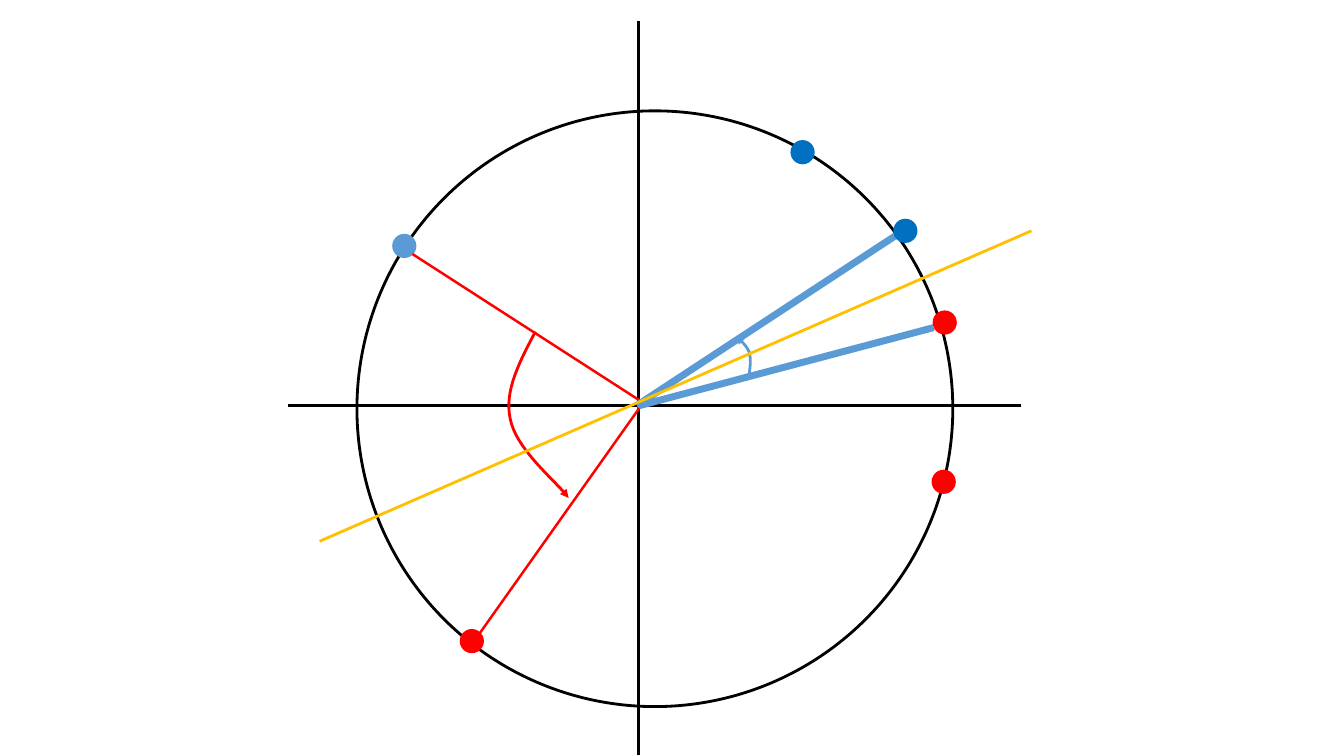
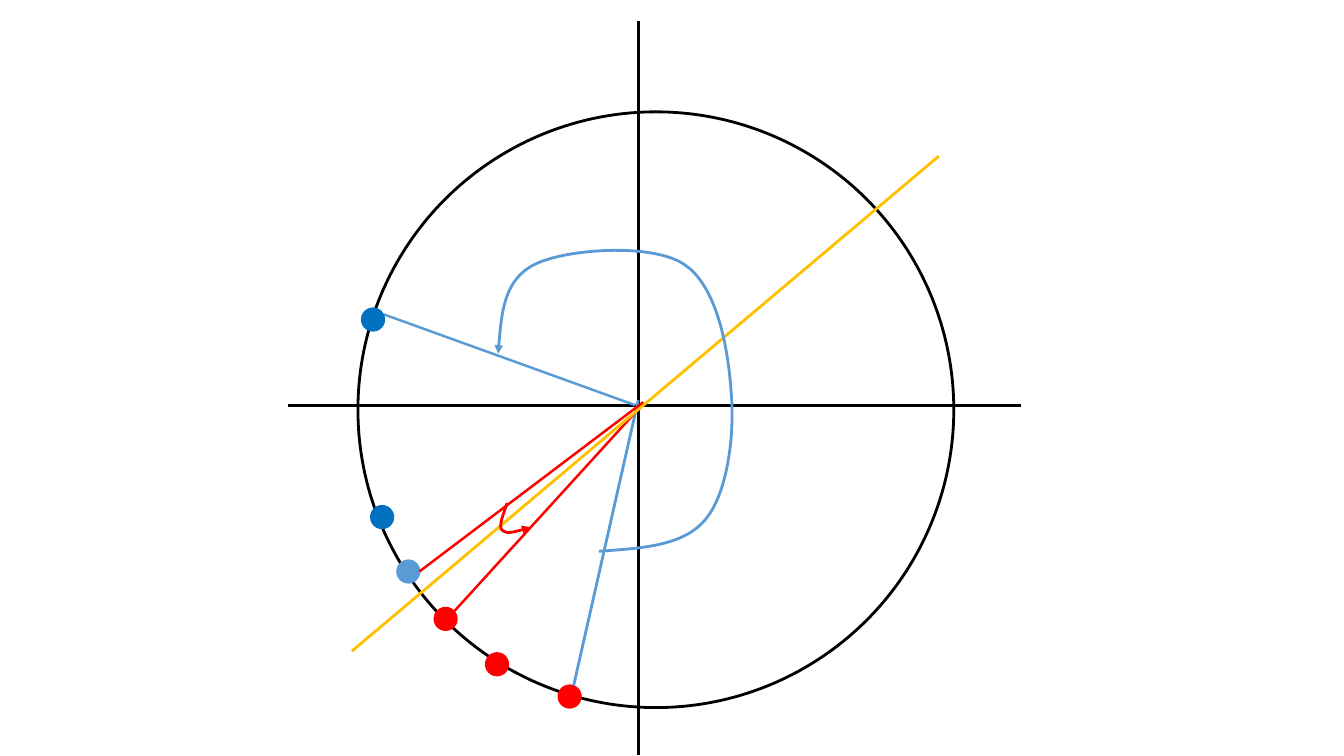
from lxml.etree import SubElement
from pptx import Presentation
from pptx.dml.color import RGBColor as RGB
from pptx.enum.shapes import MSO_CONNECTOR as LINK, MSO_SHAPE as SHAPE
from pptx.oxml.ns import qn
from pptx.util import Inches, Pt

COLORS = {
    "black": "000000",
    "red": "FF0000",
    "sky": "5B9BD5",
    "blue": "0070C0",
    "gold": "FFC000",
}
DOT = 0.24
RING = 5.91


def stroke(shape, color, width):
    """Give a shape or line its outline."""
    shape.line.color.rgb = RGB.from_string(COLORS[color])
    shape.line.width = Pt(width)


def add_line(shapes, start, end, color, width=1.75):
    """Draw a straight line without shadow."""
    ends = [Inches(v) for v in (*start, *end)]
    line = shapes.add_connector(LINK.STRAIGHT, *ends)
    stroke(line, color, width)
    SubElement(line.element.spPr, qn("a:effectLst"))


def add_oval(shapes, left, top, size):
    """Add a plain round shape and return it."""
    oval = shapes.add_shape(
        SHAPE.OVAL, Inches(left), Inches(top), Inches(size), Inches(size))
    oval.shadow.inherit = False
    return oval


def add_ring(shapes, left, top):
    """Draw the open circle."""
    ring = add_oval(shapes, left, top, RING)
    ring.fill.background()
    stroke(ring, "black", 2)


def add_dots(shapes, dots):
    """Draw points given as left, top and color."""
    for left, top, color in dots:
        dot = add_oval(shapes, left, top, DOT)
        dot.fill.solid()
        dot.fill.fore_color.rgb = RGB.from_string(COLORS[color])
        dot.line.fill.background()


def add_axes(shapes):
    """Draw the two axes as one group."""
    axes = shapes.add_group_shape().shapes
    add_line(axes, (6.33, 7.49), (6.33, 0.21), "black", 2)
    add_line(axes, (10.13, 4.02), (2.86, 4.02), "black", 2)


def add_curve(shapes, points, color):
    """Draw a Bezier arrow: a start, then three points per segment."""
    start, *rest = [(Inches(x), Inches(y)) for x, y in points]
    pen = shapes.build_freeform(*start)
    pen.add_line_segments(rest, close=False)
    curve = pen.convert_to_shape()
    steps = list(curve.element.iter(qn("a:lnTo")))
    for i in range(0, len(steps), 3):
        outline = steps[i].getparent()
        cubic = SubElement(outline, qn("a:cubicBezTo"))
        for step in steps[i:i + 3]:
            cubic.append(step[0])
            outline.remove(step)
    curve.fill.background()
    curve.shadow.inherit = False
    stroke(curve, color, 2)
    SubElement(curve.element.spPr.find(qn("a:ln")), qn("a:tailEnd"),
               type="triangle")


def add_base(deck, left, top, dots):
    """Start a slide with ring, points and axes; return its shapes."""
    shapes = deck.slides.add_slide(deck.slide_layouts[6]).shapes
    add_ring(shapes, left, top)
    add_dots(shapes, dots)
    add_axes(shapes)
    return shapes


def add_first(deck):
    """Build the slide with the mirror line at a low slope."""
    shapes = add_base(deck, 3.54, 1.1, [
        (3.89, 2.32, "sky"), (9.24, 4.66, "red"),
        (9.25, 3.08, "red"), (7.84, 1.39, "blue")])
    add_line(shapes, (9.26, 3.25), (6.32, 4.03), "sky", 5)
    add_line(shapes, (6.34, 3.97), (4.09, 2.52), "red")
    add_line(shapes, (8.88, 2.34), (6.32, 4.02), "sky", 5)
    add_line(shapes, (6.34, 4.05), (4.76, 6.28), "red")
    add_dots(shapes, [(8.86, 2.17, "blue"), (4.56, 6.24, "red")])
    add_curve(shapes, [
        (7.43, 3.72), (7.44, 3.64), (7.45, 3.56), (7.43, 3.49),
        (7.4, 3.43), (7.35, 3.38), (7.3, 3.33)], "sky")
    add_curve(shapes, [
        (5.31, 3.29), (5.16, 3.58), (5, 3.87), (5.06, 4.15),
        (5.11, 4.43), (5.55, 4.81), (5.64, 4.94)], "red")
    add_line(shapes, (3.17, 5.37), (10.23, 2.29), "gold", 2)


def add_second(deck):
    """Build the slide with the mirror line at a steep slope."""
    shapes = add_base(deck, 3.55, 1.11, [
        (3.93, 5.55, "sky"), (4.81, 6.47, "red"),
        (5.53, 6.79, "red"), (3.67, 5.01, "blue")])
    add_line(shapes, (5.69, 6.8), (6.33, 3.97), "sky", 2)
    add_line(shapes, (6.38, 3.99), (4.16, 5.67), "red")
    add_line(shapes, (3.81, 3.12), (6.3, 4.02), "sky")
    add_line(shapes, (6.33, 4.06), (4.5, 6.07), "red")
    add_dots(shapes, [(3.58, 3.05, "blue"), (4.3, 6.02, "red")])
    add_line(shapes, (3.49, 6.46), (9.31, 1.55), "gold", 2)
    add_curve(shapes, [
        (5.03, 4.99), (4.99, 5.11), (4.94, 5.22), (4.98, 5.26),
        (5.02, 5.3), (5.14, 5.27), (5.26, 5.23)], "red")
    add_curve(shapes, [
        (5.94, 5.47), (6.36, 5.44), (6.78, 5.42), (7, 5.15),
        (7.22, 4.88), (7.29, 4.3), (7.25, 3.87),
        (7.22, 3.45), (7.11, 2.83), (6.78, 2.62),
        (6.46, 2.41), (5.62, 2.47), (5.31, 2.62),
        (5, 2.77), (4.97, 3.14), (4.94, 3.51)], "sky")


def main():
    """Build and save the deck."""
    deck = Presentation()
    deck.slide_width, deck.slide_height = Inches(13.33), Inches(7.5)
    add_first(deck)
    add_second(deck)
    deck.save("out.pptx")


main()
